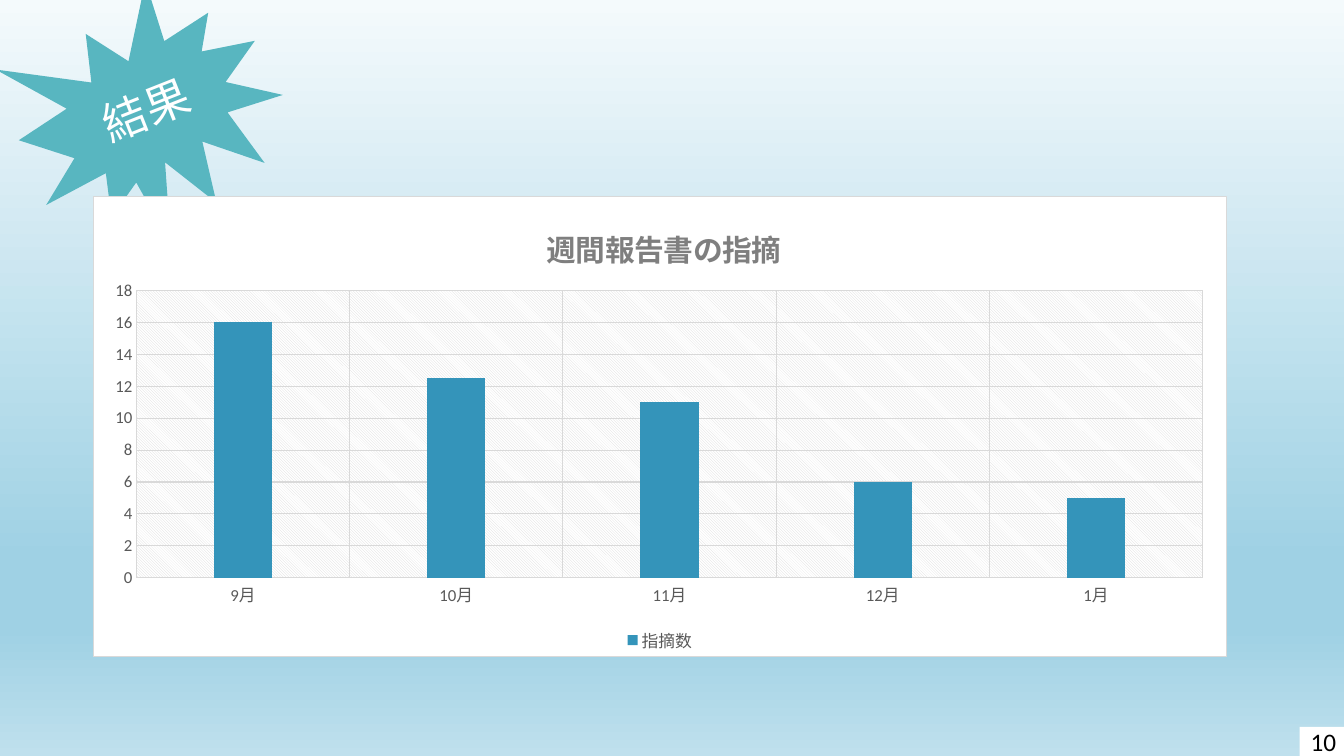
import pptx
import pptx.chart.data
import pptx.dml.color
import pptx.enum.chart
import pptx.enum.dml
import pptx.enum.shapes
import pptx.enum.text
import pptx.oxml
import pptx.oxml.ns
import pptx.util

Inches, Pt = pptx.util.Inches, pptx.util.Pt
qn = pptx.oxml.ns.qn
NS = pptx.oxml.ns.nsdecls("a", "c")

# Content
FONT = "Calibri"
BADGE, PAGE = "結果", "10"
CHART_TITLE, SERIES = "週間報告書の指摘", "指摘数"
POINTS = {"9月": 16, "10月": 12.5, "11月": 11, "12月": 6, "1月": 5}
SKY = [(0, "F4FAFC"), (74, "9FD1E4"), (83, "9FD1E4"), (100, "BFE0ED")]
TEAL, BAR, GRID, LABEL = "58B6C0", "3494BA", "D9D9D9", "595959"
TITLE_POS = dict(x=0.395, y=0.05)
PLOT_POS = dict(x=0.038, y=0.205, w=0.941, h=0.624)


def rgb(value):
    return pptx.dml.color.RGBColor.from_string(value)


def style_font(font, size, color, bold=False):
    font.name, font.size, font.bold = FONT, Pt(size), bold
    font.color.rgb = rgb(color)


def put_text(tf, text, size, color, bold=False):
    p = tf.paragraphs[0]
    p.alignment = pptx.enum.text.PP_ALIGN.CENTER
    r = p.add_run()
    r.text = text
    style_font(r.font, size, color, bold)


def add_label(slide, kind, box, fill, text, size, color, rotation=0):
    sp = slide.shapes.add_shape(kind, *map(Inches, box))
    sp.shadow.inherit = False
    sp.fill.solid()
    sp.fill.fore_color.rgb = rgb(fill)
    sp.line.fill.background()
    sp.rotation = rotation
    tf = sp.text_frame
    tf.vertical_anchor = pptx.enum.text.MSO_ANCHOR.MIDDLE
    tf.margin_left = tf.margin_right = tf.margin_top = tf.margin_bottom = 0
    put_text(tf, text, size, color)


def set_layout(parent, index, inner=False, **fractions):
    """Place a chart part by fractions of the chart's size."""
    for old in parent.findall(qn("c:layout")):
        parent.remove(old)
    target = '<c:layoutTarget val="inner"/>' if inner else ""
    modes = "".join(f'<c:{k}Mode val="edge"/>' for k in "xy")
    sizes = "".join(f'<c:{k} val="{v}"/>' for k, v in fractions.items())
    parent.insert(index, pptx.oxml.parse_xml(
        f"<c:layout {NS}><c:manualLayout>{target}{modes}{sizes}"
        "</c:manualLayout></c:layout>"))


def chart_fill(fill, line=""):
    return pptx.oxml.parse_xml(f"<c:spPr {NS}>{fill}{line}</c:spPr>")


def solid(color):
    return f'<a:solidFill><a:srgbClr val="{color}"/></a:solidFill>'


prs = pptx.Presentation()
prs.slide_width, prs.slide_height = Inches(13.33), Inches(7.5)
slide = prs.slides.add_slide(prs.slide_layouts[6])

# Sky background
fill = slide.background.fill
fill.gradient()
fill.gradient_angle = 270
stops = fill.gradient_stops
gs_list = slide.element.find(".//" + qn("a:gsLst"))
for gs in list(gs_list):
    gs_list.remove(gs)
for pos, color in SKY:
    gs_list.append(pptx.oxml.parse_xml(
        f'<a:gs {NS} pos="{pos * 1000}"><a:srgbClr val="{color}"/></a:gs>'))

# Result badge
SHAPE = pptx.enum.shapes.MSO_SHAPE
add_label(slide, SHAPE.EXPLOSION1, (0.19, -0.11, 2.6, 2.52), TEAL,
          BADGE, 32, "FFFFFF", rotation=338.4)

# Column chart
data = pptx.chart.data.CategoryChartData()
data.categories = list(POINTS)
data.add_series(SERIES, list(POINTS.values()))
chart = slide.shapes.add_chart(
    pptx.enum.chart.XL_CHART_TYPE.COLUMN_CLUSTERED,
    *map(Inches, (0.92, 1.94, 11.25, 4.58)), data).chart
style_font(chart.font, 10, "000000")

chart.has_title = True
title = chart.chart_title
put_text(title.text_frame, CHART_TITLE, 21.3, "7F7F7F", bold=True)
title.include_in_layout = False
title_xml = chart.element.find(".//" + qn("c:title"))
set_layout(title_xml, 1, **TITLE_POS)

chart.has_legend = True
chart.legend.position = pptx.enum.chart.XL_LEGEND_POSITION.BOTTOM
chart.legend.include_in_layout = False
style_font(chart.legend.font, 12, LABEL)

plot = chart.plots[0]
plot.gap_width, plot.overlap, plot.vary_by_categories = 267, -43, False
bars = plot.series[0].format.fill
bars.solid()
bars.fore_color.rgb = rgb(BAR)

# Axes and grid
for axis in (chart.category_axis, chart.value_axis):
    axis.has_major_gridlines = True
    axis.major_tick_mark = pptx.enum.chart.XL_TICK_MARK.NONE
    axis.minor_tick_mark = pptx.enum.chart.XL_TICK_MARK.NONE
    style_font(axis.tick_labels.font, 12, LABEL)
    for line in (axis.major_gridlines.format.line, axis.format.line):
        line.color.rgb = rgb(GRID)
        line.width = Pt(0.75)
chart.value_axis.format.line.fill.background()
chart.value_axis.minimum_scale, chart.value_axis.maximum_scale = 0, 18
chart.value_axis.major_unit = 2

# Hatched plot area on a white, bordered chart
plot_area = chart.element.find(".//" + qn("c:plotArea"))
set_layout(plot_area, 0, inner=True, **PLOT_POS)
plot_area.append(chart_fill(
    '<a:pattFill prst="ltDnDiag">'
    f'<a:fgClr><a:srgbClr val="{GRID}"/></a:fgClr>'
    '<a:bgClr><a:srgbClr val="FFFFFF"/></a:bgClr></a:pattFill>'))
chart.element.find(qn("c:chart")).addnext(chart_fill(
    solid("FFFFFF"), f'<a:ln w="{Pt(0.75)}">{solid(GRID)}</a:ln>'))

# Page number
add_label(slide, SHAPE.RECTANGLE, (12.89, 7.21, 0.47, 0.29), "FFFFFF",
          PAGE, 18, "000000")

prs.save("out.pptx")
